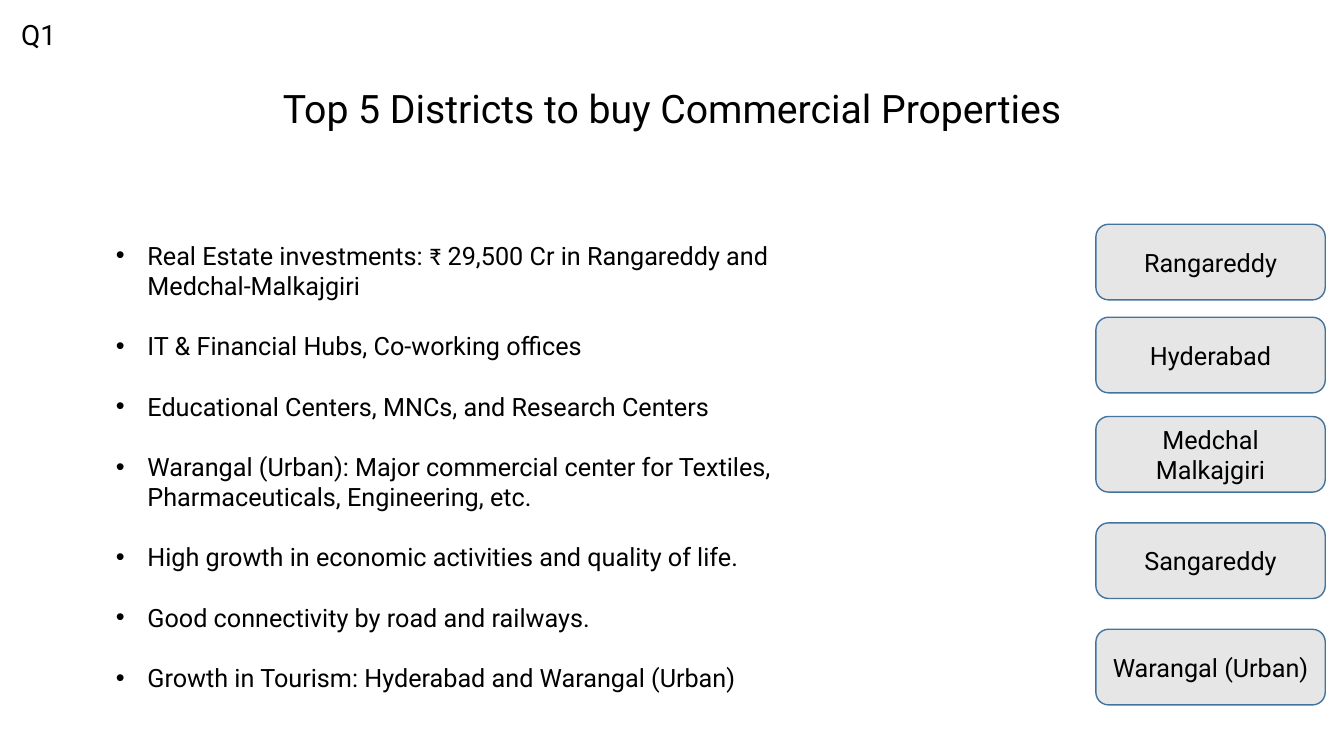
from pptx import Presentation
from pptx.util import Pt
from pptx.dml.color import RGBColor as RGB
from pptx.enum.shapes import MSO_SHAPE as Shape
from pptx.enum.text import MSO_ANCHOR as Anchor, MSO_AUTO_SIZE as Fit, PP_ALIGN as Align

theme = {
    "ink": RGB(0, 0, 0),
    "fill": RGB(0xE6, 0xE6, 0xE6),
    "line": RGB(0x43, 0x73, 0x9E),
    "font": "Roboto",
    "rupee": "Calibri",
    "title": Pt(28),
    "label": Pt(20),
    "text": Pt(18),
}


def place(shape, left, top, width, height):
    spot = {"left": left, "top": top, "width": width, "height": height}
    for name, value in spot.items():
        setattr(shape, name, Pt(value))


def write(par, text, size, font=theme["font"]):
    run = par.add_run()
    run.text = text
    for name, value in {"name": font, "size": theme[size]}.items():
        setattr(run.font, name, value)
    run.font.color.rgb = theme["ink"]


# Slide
deck = Presentation()
deck.slide_width, deck.slide_height = Pt(960), Pt(540)
slide = deck.slides.add_slide(deck.slide_layouts[1])
title, body = slide.placeholders

# Question label
label = slide.shapes.add_textbox(Pt(8), Pt(8.6), Pt(55), Pt(31.5))
label.text_frame.word_wrap = True
write(label.text_frame.paragraphs[0], "Q1", "label")

# Title
place(title, 120, 60.5, 720, 54)
frame = title.text_frame
plain = {"auto_size": Fit.NONE, "vertical_anchor": Anchor.TOP, "word_wrap": True}
for name, value in plain.items():
    setattr(frame, name, value)
par = frame.paragraphs[0]
for name, value in {"alignment": Align.CENTER, "line_spacing": 0.9}.items():
    setattr(par, name, value)
write(par, "Top 5 Districts to buy Commercial Properties", "title")

# Reasons
points = [
    "Real Estate investments: ₹ 29,500 Cr in Rangareddy and Medchal-Malkajgiri",
    "IT & Financial Hubs, Co-working offices",
    "Educational Centers, MNCs, and Research Centers",
    "Warangal (Urban): Major commercial center for Textiles, "
    "Pharmaceuticals, Engineering, etc.",
    "High growth in economic activities and quality of life.",
    "Good connectivity by road and railways.",
    "Growth in Tourism: Hyderabad and Warangal (Urban)",
]
place(body, 75.6, 167.8, 534.2, 356.4)
frame = body.text_frame
for name, value in plain.items():
    setattr(frame, name, value)
for i, point in enumerate(points):
    par = frame.add_paragraph() if i else frame.paragraphs[0]
    for name, value in {"space_before": Pt(0), "space_after": Pt(21.5)}.items():
        setattr(par, name, value)
    for name, value in {"marL": Pt(22.5), "indent": Pt(-22.5)}.items():
        par._p.get_or_add_pPr().set(name, str(value))
    head, sign, tail = point.partition("₹ ")
    write(par, head, "text")
    if sign:
        write(par, sign, "text", theme["rupee"])
        write(par, tail, "text")

# District boxes
towns = {
    "Rangareddy": 160.2,
    "Hyderabad": 226.6,
    "Medchal Malkajgiri": 297.5,
    "Sangareddy": 373.5,
    "Warangal (Urban)": 449.5,
}
for town, top in towns.items():
    box = slide.shapes.add_shape(
        Shape.ROUNDED_RECTANGLE, Pt(782.8), Pt(top), Pt(163.8), Pt(54))
    box.shadow.inherit = False
    box.fill.solid()
    box.fill.fore_color.rgb = theme["fill"]
    box.line.color.rgb = theme["line"]
    box.line.width = Pt(1)
    frame = box.text_frame
    for name, value in {"word_wrap": True, "vertical_anchor": Anchor.MIDDLE}.items():
        setattr(frame, name, value)
    par = frame.paragraphs[0]
    par.alignment = Align.CENTER
    write(par, town, "text")

deck.save("out.pptx")
